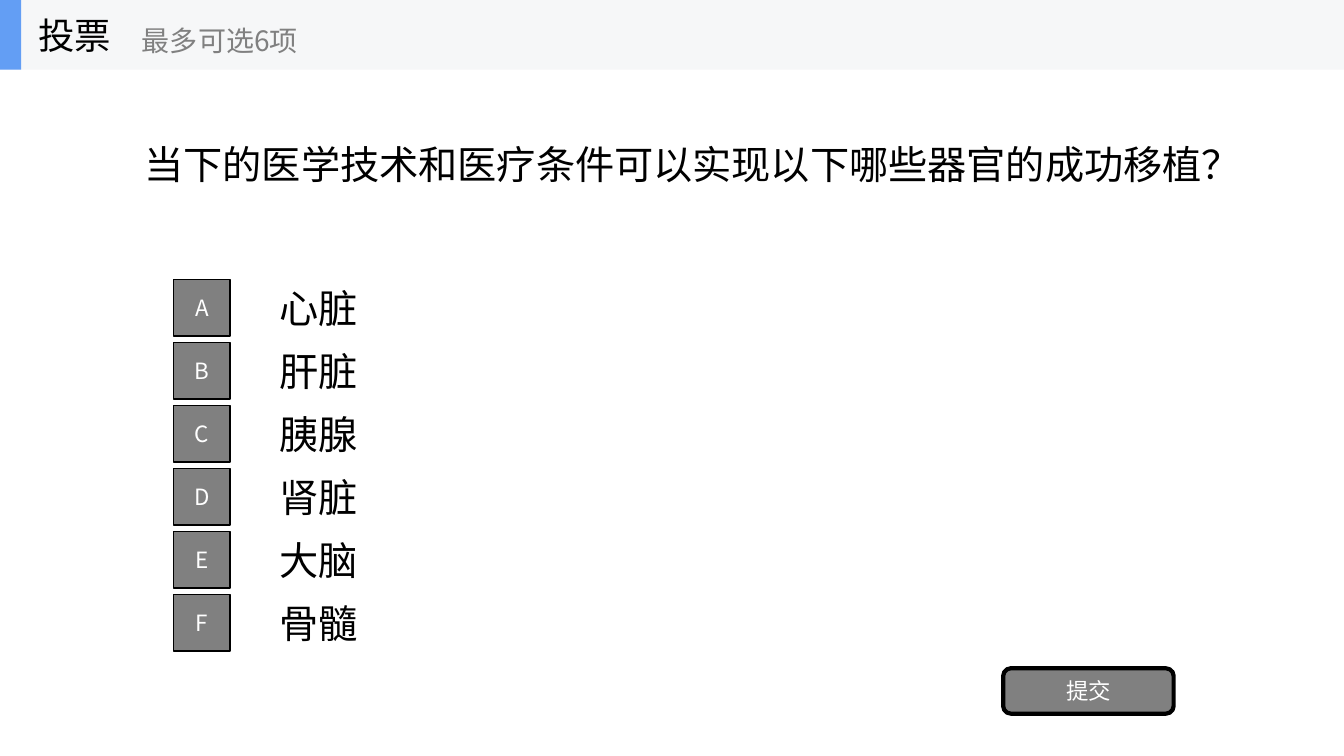
from dataclasses import dataclass

from lxml.etree import SubElement
from pptx import Presentation
from pptx.dml.color import RGBColor as Color
from pptx.enum.shapes import MSO_SHAPE as Shape
from pptx.enum.text import MSO_ANCHOR as Anchor, MSO_AUTO_SIZE as AutoSize, PP_ALIGN as Align
from pptx.oxml.ns import qn
from pptx.util import Inches, Pt


@dataclass(frozen=True)
class Theme:
    """Colours, font and type sizes of the poll."""
    font: str = "Noto Sans CJK SC"
    ink: str = "000000"
    grey: str = "808080"
    light: str = "FFFFFF"
    band: str = "F6F7F8"
    accent: str = "639EF4"
    question: int = 28
    heading: int = 26
    hint: int = 20
    button: int = 16


THEME = Theme()
WIDTH, HEIGHT = 13.33, 7.5


def write(shape, text, size, color, align=Align.LEFT):
    """Put one formatted line in the vertical middle of a shape."""
    frame = shape.text_frame
    frame.word_wrap = True
    frame.auto_size = AutoSize.NONE
    frame.vertical_anchor = Anchor.MIDDLE
    frame.text = text
    para = frame.paragraphs[0]
    para.alignment = align
    font = para.font
    font.size = Pt(size)
    font.color.rgb = Color.from_string(color)
    font.name = THEME.font
    defaults = para._p.pPr.find(qn("a:defRPr"))
    SubElement(defaults, qn("a:ea"), typeface=THEME.font)


def add_label(page, box, text, size, color):
    """Add a text box with one line."""
    label = page.shapes.add_textbox(*map(Inches, box))
    write(label, text, size, color)


def add_block(page, box, fill, border=0, kind=Shape.RECTANGLE):
    """Add a flat filled shape, with an outline if border is given."""
    block = page.shapes.add_shape(kind, *map(Inches, box))
    block.shadow.inherit = False
    block.fill.solid()
    block.fill.fore_color.rgb = Color.from_string(fill)
    if border:
        block.line.color.rgb = Color.from_string(THEME.ink)
        block.line.width = Pt(border)
    else:
        block.line.fill.background()
    return block


def add_button(page, box, text, border, kind=Shape.RECTANGLE):
    """Add a grey button with a centred caption."""
    button = add_block(page, box, THEME.grey, border, kind)
    write(button, text, THEME.button, THEME.light, Align.CENTER)


def add_question(page, box, text):
    """Place the question in the title placeholder."""
    title = page.shapes.title
    title.left, title.top, title.width, title.height = map(Inches, box)
    write(title, text, THEME.question, THEME.ink)


def add_options(page, box, options):
    """Stack lettered options in equal rows."""
    left, top, width, height = box
    pitch = height / len(options)
    side = pitch * 0.9
    indent = 0.95
    for row, (letter, text) in enumerate(zip("ABCDEF", options)):
        row_top = top + row * pitch
        label_box = (left + indent, row_top - 0.07, width - indent, side + 0.14)
        add_label(page, label_box, text, THEME.question, THEME.ink)
        add_button(page, (left, row_top, side, side), letter, 1)


def add_header(page, box, heading, hint):
    """Draw the top band with its accent, heading and hint."""
    left, top, width, height = box
    add_block(page, box, THEME.band)
    add_block(page, (left, top, 0.21, height), THEME.accent)
    add_label(page, (left + 0.28, top, 2.08, height), heading, THEME.heading, THEME.ink)
    add_label(page, (left + 1.31, top + 0.12, 2.5, height - 0.13), hint, THEME.hint, THEME.grey)


def main():
    """Build the poll slide."""
    deck = Presentation()
    deck.slide_width, deck.slide_height = Inches(WIDTH), Inches(HEIGHT)
    page = deck.slides.add_slide(deck.slide_layouts.get_by_name("Title Only"))
    add_question(page, (WIDTH * 0.1, 0.69, 10.91, HEIGHT / 4),
                 "当下的医学技术和医疗条件可以实现以下哪些器官的成功移植？")
    add_options(page, (1.72, 2.77, 10.28, HEIGHT / 2),
                ["心脏", "肝脏", "胰腺", "肾脏", "大脑", "骨髓"])
    add_button(page, (9.95, 6.63, 1.69, 0.45), "提交", 3, Shape.ROUNDED_RECTANGLE)
    add_header(page, (0, 0, WIDTH, 0.69), "投票", "最多可选6项")
    deck.save("out.pptx")


if __name__ == "__main__":
    main()
